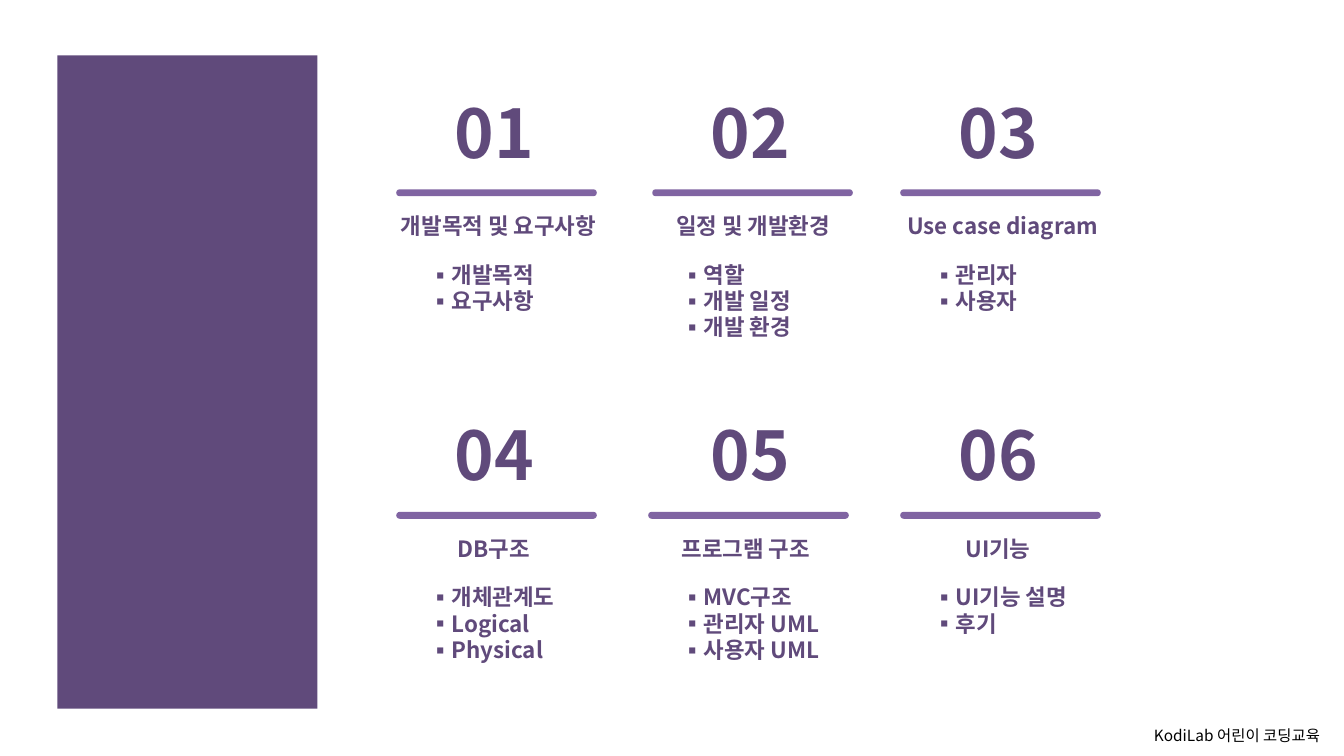
from dataclasses import dataclass

from lxml import etree
from pptx import Presentation
from pptx.dml.color import RGBColor
from pptx.enum.shapes import MSO_SHAPE
from pptx.enum.text import MSO_ANCHOR, PP_ALIGN
from pptx.oxml.ns import qn
from pptx.util import Pt

RECTANGLE = MSO_SHAPE.RECTANGLE
ROUNDED = MSO_SHAPE.ROUNDED_RECTANGLE
MIDDLE = MSO_ANCHOR.MIDDLE
TOP = MSO_ANCHOR.TOP
CENTER = PP_ALIGN.CENTER
LEFT = PP_ALIGN.LEFT

PURPLE = RGBColor(0x60, 0x4A, 0x7B)
LIGHT_PURPLE = RGBColor(0x80, 0x64, 0xA2)
WHITE = RGBColor(0xFF, 0xFF, 0xFF)
BLACK = RGBColor(0x00, 0x00, 0x00)
FONT = "Noto Sans CJK KR"

GRID_LEFT, GRID_TOP = 283, 62
COLUMN_PITCH, ROW_PITCH, COLUMNS = 180, 230.4, 3
BAR_WIDTH, BAR_HEIGHT = 143.3, 5
BULLET_INDENT = 13.5


@dataclass
class Section:
    """One agenda entry, with its small offsets from the grid."""
    title: str
    items: list
    title_width: float = 118
    title_center: float = 69.8
    number_left: float = 16.6
    bar_left: float = 0


SECTIONS = [
    Section("개발목적 및 요구사항", ["개발목적", "요구사항"], 169.2, 73.1),
    Section("일정 및 개발환경", ["역할", "개발 일정", "개발 환경"], 138.2, 74.9, 19.4, 2.9),
    Section("Use case diagram", ["관리자", "사용자"], 157.7, 73.1),
    Section("DB구조", ["개체관계도", "Logical", "Physical"]),
    Section("프로그램 구조", ["MVC구조", "관리자 UML", "사용자 UML"], number_left=19.4),
    Section("UI기능", ["UI기능 설명", "후기"]),
]


def format_text(shape, text, size, color, bold, alignment, anchor):
    """Put text in a shape and format every run."""
    text_frame = shape.text_frame
    text_frame.text = text
    text_frame.word_wrap = True
    text_frame.vertical_anchor = anchor
    for paragraph in text_frame.paragraphs:
        paragraph.alignment = alignment
        for run in paragraph.runs:
            run.font.size = Pt(size)
            run.font.bold = bold
            run.font.color.rgb = color
            run.font.name = FONT
            east_asian = etree.SubElement(run.font._element, qn("a:ea"))
            east_asian.set("typeface", FONT)


def add_label(slide, left, top, width, height, text, size, color=PURPLE, bold=True, alignment=CENTER):
    """Add a vertically centred text box."""
    label = slide.shapes.add_textbox(Pt(left), Pt(top), Pt(width), Pt(height))
    format_text(label, text, size, color, bold, alignment, MIDDLE)


def add_block(slide, kind, left, top, width, height, color):
    """Add a filled shape without outline or shadow."""
    block = slide.shapes.add_shape(kind, Pt(left), Pt(top), Pt(width), Pt(height))
    block.shadow.inherit = False
    block.fill.solid()
    block.fill.fore_color.rgb = color
    block.line.fill.background()
    return block


def add_bullet_list(slide, left, top, width, height, items):
    """Add a white-outlined box with square bullets."""
    box = slide.shapes.add_shape(RECTANGLE, Pt(left), Pt(top), Pt(width), Pt(height))
    box.shadow.inherit = False
    box.fill.background()
    box.line.color.rgb = WHITE
    box.line.width = Pt(0.75)
    format_text(box, "\n".join(items), 16, PURPLE, True, LEFT, TOP)
    for index, paragraph in enumerate(box.text_frame.paragraphs):
        paragraph.line_spacing = 0.85
        paragraph.space_before = Pt(2.4 if index else 0)
        properties = paragraph._p.get_or_add_pPr()
        properties.set("marL", str(Pt(BULLET_INDENT)))
        properties.set("indent", str(-Pt(BULLET_INDENT)))
        etree.SubElement(properties, qn("a:buFont")).set("typeface", FONT)
        etree.SubElement(properties, qn("a:buChar")).set("char", "▪")


def add_section(slide, left, top, number, section):
    """Place number, bar, title and bullet list of one section."""
    add_label(slide, left + section.number_left, top, 107.3, 64, f"{number:02d}", 48)
    bar = add_block(slide, ROUNDED, left + section.bar_left, top + 73.2, BAR_WIDTH, BAR_HEIGHT, LIGHT_PURPLE)
    bar.adjustments[0] = 0.5
    title_left = left + section.title_center - section.title_width / 2
    add_label(slide, title_left, top + 85.8, section.title_width, 26.6, section.title, 16)
    add_bullet_list(slide, left + 16.6, top + 123.8, 118, 73.4, section.items)


def build_agenda(slide):
    """Build the side panel, the grid of sections and the footer."""
    add_label(slide, 817.2, 515.5, 143.3, 19.4, "KodiLab 어린이 코딩교육", 11, BLACK, False, LEFT)
    add_block(slide, RECTANGLE, 41, 39.6, 185.8, 466.6, PURPLE)
    for index, section in enumerate(SECTIONS):
        row, column = divmod(index, COLUMNS)
        left = GRID_LEFT + column * COLUMN_PITCH
        top = GRID_TOP + row * ROW_PITCH
        add_section(slide, left, top, index + 1, section)


def main():
    """Create the presentation and save it."""
    presentation = Presentation()
    presentation.slide_width = Pt(960)
    presentation.slide_height = Pt(540)
    slide = presentation.slides.add_slide(presentation.slide_layouts[6])
    build_agenda(slide)
    presentation.save("out.pptx")


if __name__ == "__main__":
    main()
